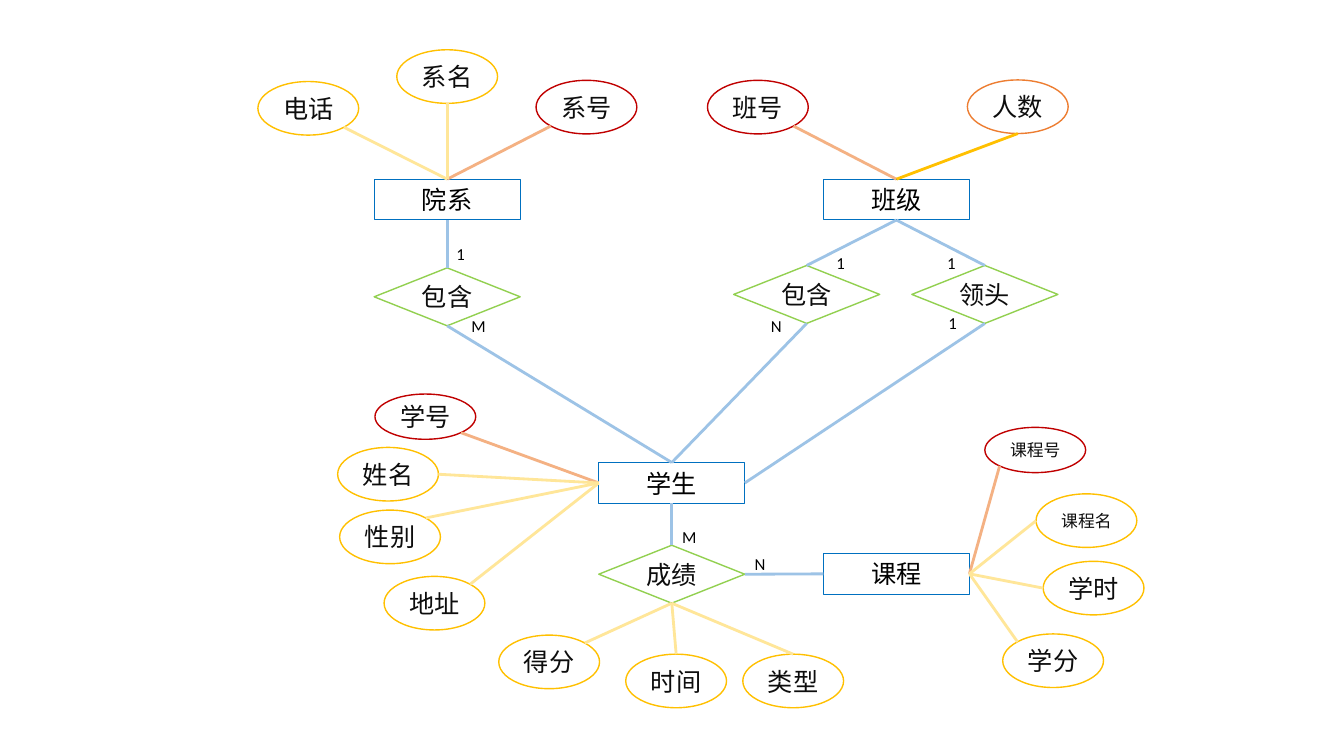
from math import sqrt

from lxml import etree
from pptx import Presentation, util as u
from pptx.dml.color import RGBColor
from pptx.enum import shapes, text
from pptx.oxml.ns import qn

COLOURS = {
    "entity": "0070C0", "relation": "92D050", "key": "C00000",
    "plain": "FFC000", "count": "ED7D31",
    "link": "9DC3E6", "key link": "F4B183", "plain link": "FFE699",
    "count link": "FFC000", "black": "000000", "ink": "0D0D0D",
}
FONT = "Calibri"
TOP, LEFT, BOTTOM, RIGHT = range(4)
ENTITY_SIZE, RELATION_SIZE = (3.68, 1.03), (3.68, 1.46)
ATTRIBUTE_WIDTH, ATTRIBUTE_HEIGHT, FLAT_HEIGHT = 2.54, 1.35, 1.14
DIAGONAL = 1 / sqrt(2)

ENTITIES = {
    "院系": (11.27, 5.03),
    "学生": (16.93, 12.17),
    "班级": (22.59, 5.03),
    "课程": (22.59, 14.46),
}
RELATIONS = {
    "department has": ("包含", 11.27, 7.48),
    "class has": ("包含", 20.33, 7.42),
    "leads": ("领头", 24.82, 7.42),
    "scores": ("成绩", 16.93, 14.47),
}
LINKS = [
    ("院系", BOTTOM, "department has", TOP),
    ("department has", BOTTOM, "学生", TOP),
    ("班级", BOTTOM, "class has", TOP),
    ("class has", BOTTOM, "学生", TOP),
    ("班级", BOTTOM, "leads", TOP),
    ("leads", BOTTOM, "学生", RIGHT),
    ("scores", TOP, "学生", BOTTOM),
    ("课程", LEFT, "scores", RIGHT),
]
# owner, side of owner: word, centre x, centre y, kind, direction of link, height, size
ATTRIBUTES = {
    ("院系", TOP): [
        ("系号", 14.78, 2.7, "key", (-1, 1), ATTRIBUTE_HEIGHT, 18),
        ("系名", 11.27, 1.93, "plain", (0, 1), ATTRIBUTE_HEIGHT, 18),
        ("电话", 7.77, 2.73, "plain", (1, 1), ATTRIBUTE_HEIGHT, 18),
    ],
    ("班级", TOP): [
        ("班号", 19.1, 2.7, "key", (1, 1), ATTRIBUTE_HEIGHT, 18),
        ("人数", 25.65, 2.69, "count", (0, 1), ATTRIBUTE_HEIGHT, 18),
    ],
    ("学生", LEFT): [
        ("学号", 10.72, 10.5, "key", (1, 1), FLAT_HEIGHT, 18),
        ("姓名", 9.78, 11.95, "plain", (1, 0), ATTRIBUTE_HEIGHT, 18),
        ("地址", 10.95, 15.2, "plain", (1, -1), ATTRIBUTE_HEIGHT, 18),
        ("性别", 9.83, 13.53, "plain", (1, -1), ATTRIBUTE_HEIGHT, 18),
    ],
    ("课程", RIGHT): [
        ("课程号", 26.09, 11.34, "key", (-1, 1), FLAT_HEIGHT, 12),
        ("学分", 26.54, 16.65, "plain", (-1, -1), ATTRIBUTE_HEIGHT, 18),
        ("学时", 27.56, 14.82, "plain", (-1, 0), ATTRIBUTE_HEIGHT, 18),
        ("课程名", 27.38, 13.12, "plain", (-1, 0), ATTRIBUTE_HEIGHT, 12),
    ],
    ("scores", BOTTOM): [
        ("得分", 13.84, 16.68, "plain", (1, -1), ATTRIBUTE_HEIGHT, 18),
        ("时间", 17.04, 17.16, "plain", (0, -1), ATTRIBUTE_HEIGHT, 18),
        ("类型", 19.99, 17.16, "plain", (0, -1), ATTRIBUTE_HEIGHT, 18),
    ],
}
CARDINALITIES = [
    ("1", 11.25, 6.02), ("M", 11.63, 7.82),
    ("1", 20.83, 6.25), ("N", 19.18, 7.82),
    ("1", 23.62, 6.25), ("1", 23.65, 7.75),
    ("M", 16.94, 13.16), ("N", 18.77, 13.82),
]
CARDINALITY_WIDTHS = {"1": 0.74, "M": 0.89, "N": 0.79}


def colour(name):
    return RGBColor.from_string(COLOURS[name])


def assign(target, values):
    for name, value in values.items():
        setattr(target, name, value)


def write(box, words, size, ink, align, frame_format):
    frame = box.text_frame
    assign(frame, frame_format)
    para = frame.paragraphs[0]
    para.alignment = align
    span = para.add_run()
    span.text = words
    assign(span.font, {"name": FONT, "size": u.Pt(size)})
    span.font.color.rgb = colour(ink)


def add_node(page, kind, words, x, y, width, height, line, weight, size, ink):
    node = page.shapes.add_shape(kind, u.Cm(x - width / 2), u.Cm(y - height / 2),
                                 u.Cm(width), u.Cm(height))
    node.shadow.inherit = False
    node.fill.background()
    node.line.color.rgb = colour(line)
    node.line.width = u.Pt(weight)
    write(node, words, size, ink, text.PP_ALIGN.CENTER, {
        "word_wrap": True, "vertical_anchor": text.MSO_ANCHOR.MIDDLE,
        "margin_left": 0, "margin_right": 0})
    return node


def add_link(page, line, x=0, y=0):
    link = page.shapes.add_connector(shapes.MSO_CONNECTOR.STRAIGHT,
                                     u.Cm(x), u.Cm(y), u.Cm(x), u.Cm(y))
    link.line.color.rgb = colour(line)
    link.line.width = u.Pt(2)
    etree.SubElement(link._element.spPr, qn("a:effectLst"))
    return link


def main():
    deck = Presentation()
    assign(deck, {"slide_width": u.Cm(33.87), "slide_height": u.Cm(19.05)})
    page = deck.slides.add_slide(deck.slide_layouts[6])
    nodes = {}
    for word, (x, y) in ENTITIES.items():
        nodes[word] = add_node(page, shapes.MSO_SHAPE.RECTANGLE, word, x, y,
                               *ENTITY_SIZE, "entity", 0.75, 18, "black")
    for name, (word, x, y) in RELATIONS.items():
        nodes[name] = add_node(page, shapes.MSO_SHAPE.DIAMOND, word, x, y,
                               *RELATION_SIZE, "relation", 1, 18, "ink")
    for start, start_side, end, end_side in LINKS:
        link = add_link(page, "link")
        link.begin_connect(nodes[start], start_side)
        link.end_connect(nodes[end], end_side)
    for (owner, side), attributes in ATTRIBUTES.items():
        for word, x, y, kind, (across, down), height, size in attributes:
            add_node(page, shapes.MSO_SHAPE.OVAL, word, x, y, ATTRIBUTE_WIDTH,
                     height, kind, 1, size, "ink")
            reach = DIAGONAL if across and down else 1
            link = add_link(page, f"{kind} link",
                            x + across * reach * ATTRIBUTE_WIDTH / 2,
                            y + down * reach * height / 2)
            link.end_connect(nodes[owner], side)
    for mark, left, top in CARDINALITIES:
        box = page.shapes.add_textbox(u.Cm(left), u.Cm(top),
                                      u.Cm(CARDINALITY_WIDTHS[mark]), u.Cm(0.77))
        write(box, mark, 12, "black", text.PP_ALIGN.LEFT, {"word_wrap": False})
    deck.save("out.pptx")


if __name__ == "__main__":
    main()
